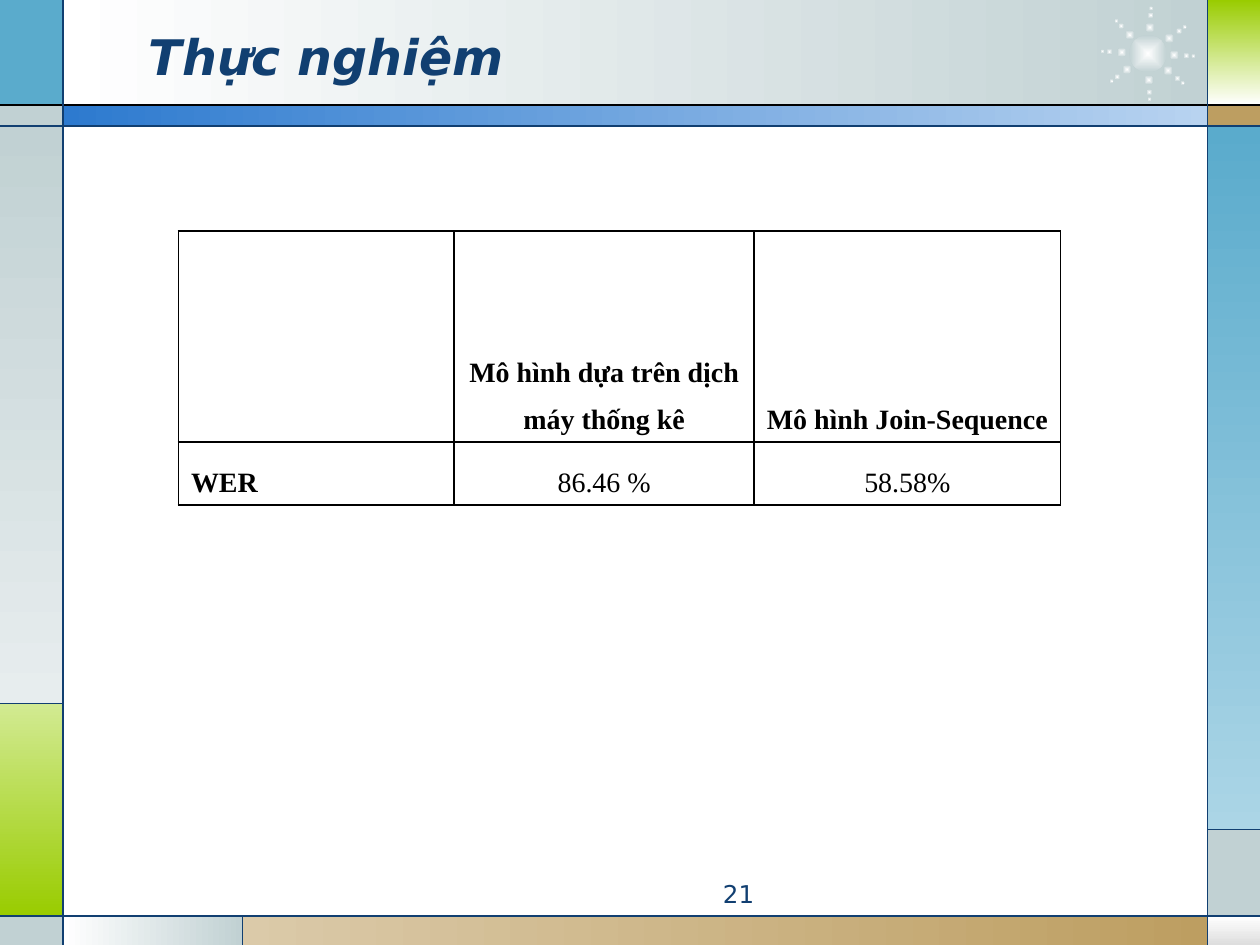
from math import cos, sin, radians
from lxml import etree
from pptx import Presentation
from pptx.dml.color import RGBColor
from pptx.enum.shapes import MSO_CONNECTOR as CONN, MSO_SHAPE as SHAPE
from pptx.enum.text import MSO_ANCHOR as ANCHOR, PP_ALIGN as ALIGN
from pptx.oxml import parse_xml
from pptx.oxml.ns import qn
from pptx.util import Pt

NS = 'xmlns:a="http://schemas.openxmlformats.org/drawingml/2006/main"'
W, H = 720, 540
LEFT, RIGHT, TOP, BAR, FOOT = 36, 690, 60, 72, 523.5
GREEN_Y, GREY_Y, TAN_X = 402, 474, 138.5
NAVY, BLACK, WHITE, GREY, SKY = "113F71", "000000", "FFFFFF", "C1D1D3", "5AABCC"
LIME, TAN = "99CC00", "BD9E61"
ACROSS, DOWN = 0, 270

PANELS = [
    (LEFT, 0, RIGHT, TOP, (WHITE, GREY, ACROSS)),
    (0, 0, LEFT, TOP, SKY),
    (0, TOP, LEFT, BAR, GREY),
    (0, BAR, LEFT, GREEN_Y, (GREY, "E7EDEE", DOWN)),
    (0, GREEN_Y, LEFT, FOOT, ("D2EA92", LIME, DOWN)),
    (0, FOOT, LEFT, H, GREY),
    (LEFT, FOOT, TAN_X, H, (WHITE, GREY, ACROSS)),
    (TAN_X, FOOT, RIGHT, H, ("DBCAA9", TAN, ACROSS)),
    (RIGHT, FOOT, W, H, (WHITE, "DEDEDE", DOWN)),
    (RIGHT, GREY_Y, W, FOOT, GREY),
    (RIGHT, BAR, W, GREY_Y, (SKY, "ABD5E6", DOWN)),
    (RIGHT, TOP, W, BAR, TAN),
    (RIGHT, 0, W, TOP, (LIME, WHITE, DOWN)),
    (LEFT, TOP, RIGHT, BAR, ("2D7ACF", "B8D3F0", ACROSS)),
]
RULES = [
    (0, TOP, W, TOP, BLACK),
    (0, BAR, W, BAR, NAVY),
    (0, FOOT, W, FOOT, NAVY),
    (LEFT, 0, LEFT, H, NAVY),
    (RIGHT, 0, RIGHT, H, NAVY),
    (LEFT, GREEN_Y, 0, GREEN_Y, NAVY),
    (TAN_X, FOOT, TAN_X, H, NAVY),
    (RIGHT, GREY_Y, W, GREY_Y, NAVY),
]
STAR_X, STAR_Y, STAR_SIZE = 656, 30.7, 21.5
RAYS = [3, 40, 88, 143, 183, 226, 274, 324]
DOTS = [(22, 3.5), (15, 5.4), (26, 2.5)]

COLS, ROWS = [157.5, 171.5, 175], [120.5, 36]
CELLS = [
    ["", "Mô hình dựa trên dịch máy thống kê", "Mô hình Join-Sequence"],
    ["WER ", "86.46 %", "58.58%"],
]


def rgb(value):
    """Turn a hex string into a colour."""
    return RGBColor.from_string(value)


def paint(fill, first, last, angle=None):
    """Apply a linear gradient, or a centred one without an angle."""
    fill.gradient()
    for stop, color, pos in zip(fill.gradient_stops, (first, last), (0, 1)):
        stop.color.rgb, stop.position = rgb(color), pos
    if angle is not None:
        fill.gradient_angle = angle
        return
    lin = fill._fill._gradFill.find(qn("a:lin"))
    lin.getparent().replace(lin, parse_xml(
        f'<a:path {NS} path="shape"><a:fillToRect l="50000" t="50000" '
        'r="50000" b="50000"/></a:path>'))


def add_panel(kind, x, y, w, h, color):
    """Draw a borderless shape with a solid or gradient fill."""
    sp = s.shapes.add_shape(kind, Pt(x), Pt(y), Pt(w), Pt(h))
    sp.shadow.inherit = False
    sp.line.fill.background()
    if isinstance(color, str):
        sp.fill.solid()
        sp.fill.fore_color.rgb = rgb(color)
    else:
        paint(sp.fill, *color)


def add_dot(x, y, size):
    """Draw a glowing dot around a centre."""
    add_panel(SHAPE.OVAL, x - size / 2, y - size / 2, size, size, (WHITE, GREY))


def add_rule(x1, y1, x2, y2, color):
    """Draw a thin straight line."""
    ln = s.shapes.add_connector(CONN.STRAIGHT, Pt(x1), Pt(y1), Pt(x2), Pt(y2))
    ln.line.color.rgb, ln.line.width = rgb(color), Pt(0.75)
    etree.SubElement(ln._element.spPr, qn("a:effectLst"))


def write(tf, text, size=16, font="Times New Roman", color=BLACK, bold=False,
          italic=False, align=ALIGN.LEFT, spacing=1.0):
    """Write one formatted paragraph into a text frame."""
    tf.word_wrap = True
    p = tf.paragraphs[0]
    p.alignment, p.line_spacing = align, spacing
    r = p.add_run()
    r.text = text
    r.font.size, r.font.name, r.font.color.rgb = Pt(size), font, rgb(color)
    r.font.bold, r.font.italic = bold, italic


def add_text(x, y, w, h, text, anchor=ANCHOR.TOP, **style):
    """Add a text box."""
    tf = s.shapes.add_textbox(Pt(x), Pt(y), Pt(w), Pt(h)).text_frame
    tf.vertical_anchor = anchor
    write(tf, text, font="DejaVu Sans", color=NAVY, **style)


def outline(cell):
    """Give a cell black borders on all sides."""
    tc_pr = cell._tc.get_or_add_tcPr()
    for i, side in enumerate("LRTB"):
        tc_pr.insert(i, parse_xml(
            f'<a:ln{side} {NS} w="12700"><a:solidFill><a:srgbClr val="{BLACK}"/>'
            f'</a:solidFill></a:ln{side}>'))


prs = Presentation()
prs.slide_width, prs.slide_height = Pt(W), Pt(H)
s = prs.slides.add_slide(prs.slide_layouts[6])

for x1, y1, x2, y2, color in PANELS:
    add_panel(SHAPE.RECTANGLE, x1, y1, x2 - x1, y2 - y1, color)
add_dot(STAR_X, STAR_Y, STAR_SIZE)
for ray in map(radians, RAYS):
    for radius, size in DOTS:
        add_dot(STAR_X + radius * cos(ray), STAR_Y + radius * sin(ray), size)
for rule in RULES:
    add_rule(*rule)

add_text(78, 9.5, 528, 44.5, "Thực nghiệm", anchor=ANCHOR.MIDDLE,
         size=28, bold=True, italic=True)
add_text(270, 499, 168, 19.5, "21", size=14, align=ALIGN.RIGHT)

table = s.shapes.add_table(len(ROWS), len(COLS), Pt(102), Pt(132),
                           Pt(sum(COLS)), Pt(sum(ROWS))).table
table.first_row = table.horz_banding = False
for col, width in zip(table.columns, COLS):
    col.width = Pt(width)
for i, (height, texts) in enumerate(zip(ROWS, CELLS)):
    table.rows[i].height = Pt(height)
    for j, text in enumerate(texts):
        cell = table.cell(i, j)
        cell.fill.background()
        cell.vertical_anchor = ANCHOR.BOTTOM
        outline(cell)
        if text:
            write(cell.text_frame, text, bold=i == 0 or j == 0, spacing=1.5,
                  align=ALIGN.CENTER if j else ALIGN.JUSTIFY)

prs.save("out.pptx")
